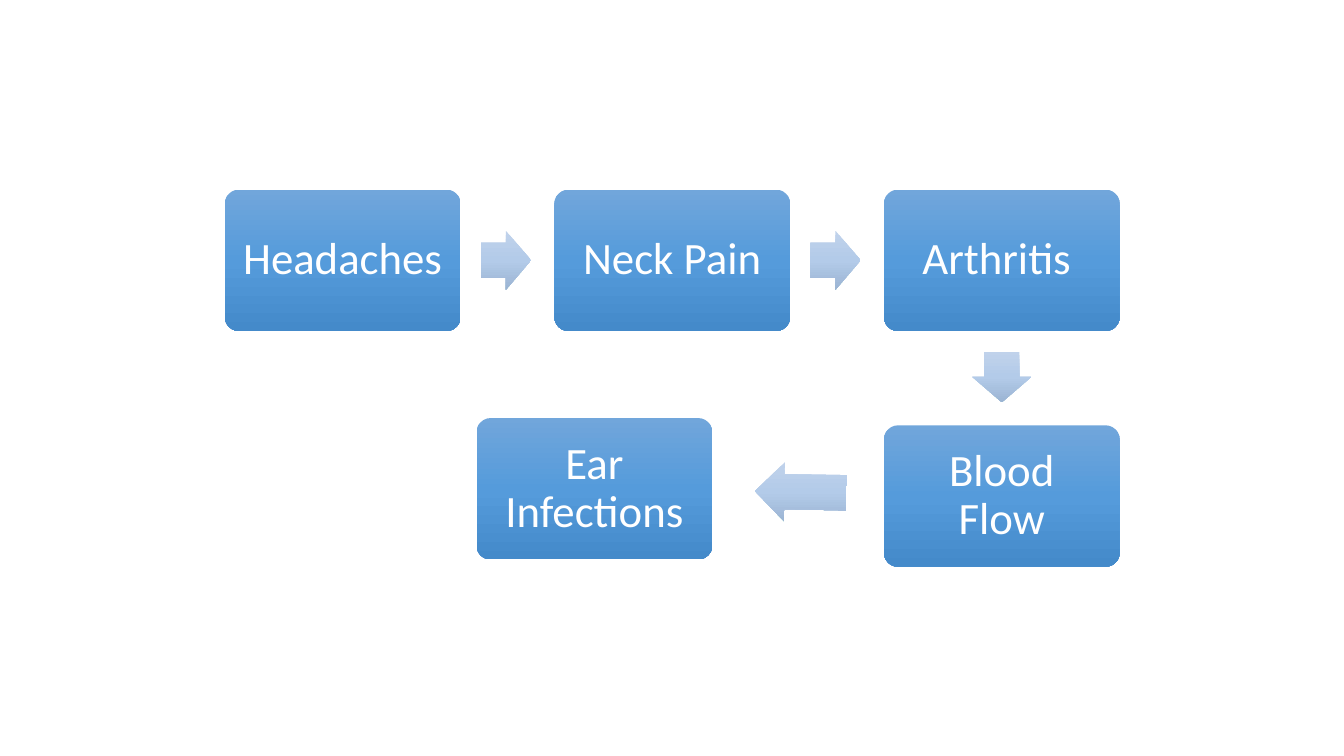
from copy import deepcopy

from pptx import Presentation
from pptx.dml.color import RGBColor
from pptx.enum.shapes import MSO_SHAPE
from pptx.enum.text import MSO_ANCHOR, PP_ALIGN
from pptx.oxml.ns import qn
from pptx.util import Pt

BOX_COLOURS = ("71A6DB", "559BDB", "448ACA")
ARROW_COLOURS = ("C0D2EB", "B3CBE9", "9BB4D3")
BOX_WIDTH, BOX_HEIGHT = 168.4, 101
ROW_LEFT, ROW_TOP, COLUMN_STEP = 160.6, 135.4, 235.4
ARROW_LENGTH, ARROW_HEIGHT = 36, 42


def colour(value):
    """Turn a hex string into a colour."""
    return RGBColor.from_string(value)


def fill_gradient(shape, colours):
    """Shade a shape from top to bottom, whatever its rotation."""
    shape.shadow.inherit = False
    shape.line.fill.background()
    shape.fill.gradient()
    shape.fill.gradient_angle = 270
    gradient = shape._element.spPr.find(qn("a:gradFill"))
    gradient.set("rotWithShape", "0")
    stop_list = gradient.find(qn("a:gsLst"))
    stop_list.append(deepcopy(stop_list[0]))
    for index, (stop, value) in enumerate(zip(shape.fill.gradient_stops, colours)):
        stop.position = index / (len(colours) - 1)
        stop.color.rgb = colour(value)


def add_step(page, label, left, top):
    """Add a rounded box with a centred label."""
    box = page.shapes.add_shape(
        MSO_SHAPE.ROUNDED_RECTANGLE, Pt(left), Pt(top), Pt(BOX_WIDTH), Pt(BOX_HEIGHT)
    )
    box.adjustments[0] = 0.1
    fill_gradient(box, BOX_COLOURS)
    frame = box.text_frame
    frame.word_wrap = True
    frame.vertical_anchor = MSO_ANCHOR.MIDDLE
    frame.margin_left = frame.margin_right = Pt(9.6)
    frame.margin_top = frame.margin_bottom = Pt(9.6)
    para = frame.paragraphs[0]
    para.text = label
    para.alignment = PP_ALIGN.CENTER
    para.line_spacing = 0.9
    para.font.name = "Calibri"
    para.font.size = Pt(32)
    para.font.color.rgb = colour("FFFFFF")


def add_arrow(page, center_x, center_y, length=ARROW_LENGTH, rotation=0):
    """Add a block arrow around a centre point."""
    arrow = page.shapes.add_shape(
        MSO_SHAPE.RIGHT_ARROW,
        Pt(center_x - length / 2),
        Pt(center_y - ARROW_HEIGHT / 2),
        Pt(length),
        Pt(ARROW_HEIGHT),
    )
    arrow.adjustments[0] = 0.6
    arrow.adjustments[1] = 0.5
    arrow.rotation = rotation
    fill_gradient(arrow, ARROW_COLOURS)


def main():
    """Build the slide and save the deck."""
    deck = Presentation()
    deck.slide_width, deck.slide_height = Pt(960), Pt(540)
    page = deck.slides.add_slide(deck.slide_layouts[6])

    lefts = [ROW_LEFT + column * COLUMN_STEP for column in range(3)]
    for label, left in zip(("Headaches", "Neck Pain", "Arthritis "), lefts):
        add_step(page, label, left, ROW_TOP)
    for left in lefts[:2]:
        add_arrow(page, left + 200.8, ROW_TOP + BOX_HEIGHT / 2)

    add_arrow(page, lefts[2] + BOX_WIDTH / 2, 269.3, rotation=90)
    add_step(page, "Blood Flow", lefts[2], 303.8)
    add_arrow(page, 572, 351.4, length=65.5, rotation=181)
    add_step(page, "Ear Infections", 340.4, 298.6)

    deck.save("out.pptx")


if __name__ == "__main__":
    main()
